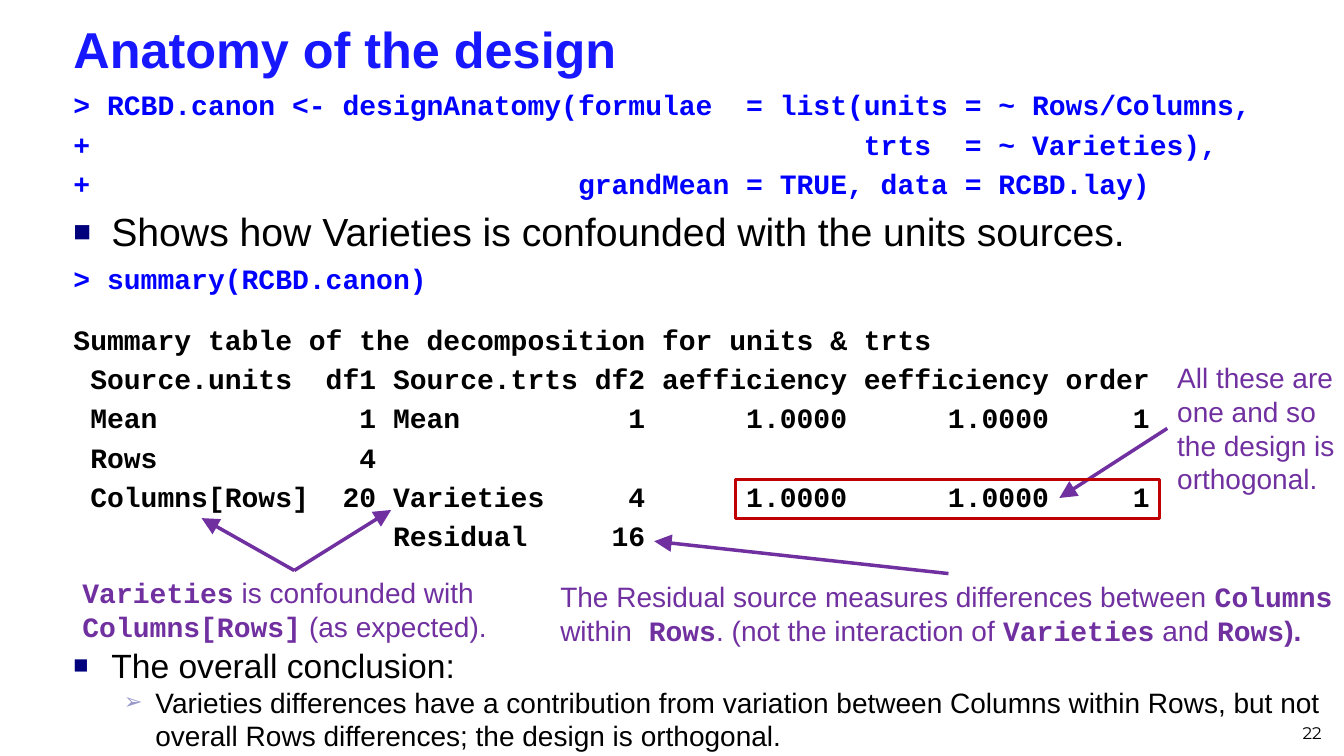
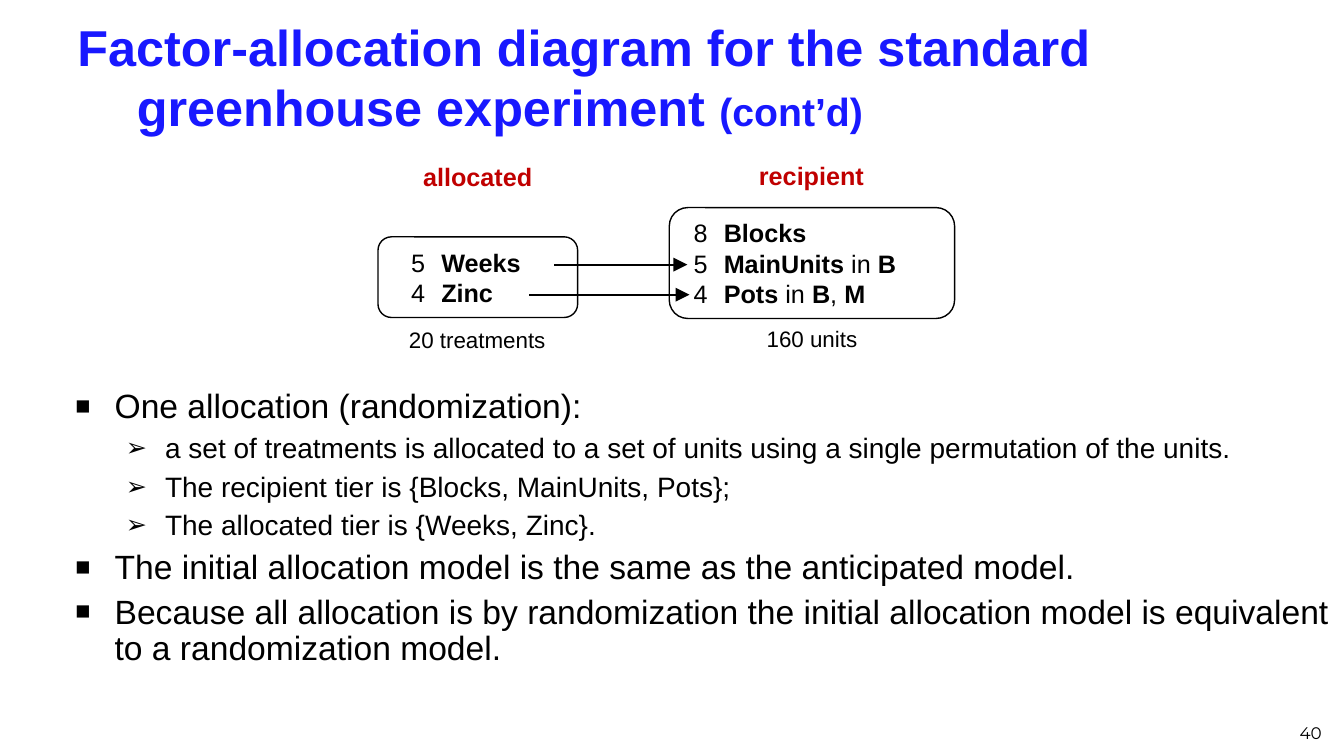
import pptx
import pptx.util
import pptx.dml.color
import pptx.enum.shapes
import pptx.enum.text
import pptx.oxml.ns
import lxml.etree

Pt = pptx.util.Pt
RGBColor = pptx.dml.color.RGBColor
Align = pptx.enum.text.PP_ALIGN
Anchor = pptx.enum.text.MSO_ANCHOR
qn = pptx.oxml.ns.qn

BLACK = RGBColor(0x00, 0x00, 0x00)
TITLE_BLUE = RGBColor(0x18, 0x18, 0xFF)
CODE_BLUE = RGBColor(0x00, 0x00, 0xFF)
PURPLE = RGBColor(0x70, 0x30, 0xA0)
RED = RGBColor(0xC0, 0x00, 0x00)
NAVY = RGBColor(0x00, 0x00, 0x7D)
LAVENDER = RGBColor(0x99, 0x99, 0xCC)

# Paragraph styles; "strong" overrides apply to text between asterisks
TITLE = dict(size=36, color=TITLE_BLUE, bold=True, strong=dict(size=28))
HANGING_TITLE = dict(TITLE, left=42.5, hang=42.5)
NUMBER = dict(size=12, font="Montserrat", align=Align.RIGHT)
INPUT = dict(size=20, font="Courier New", color=CODE_BLUE, bold=True, before=4)
OUTPUT = dict(INPUT, color=BLACK)
NOTE = dict(size=20, color=PURPLE, strong=dict(font="Courier New", bold=True))
POINT = dict(size=28, left=27, hang=27, before=5.5, bullet=("■", NAVY, 75))
CONCLUSION = dict(POINT, size=24, before=0)
DETAIL = dict(size=20, level=1, left=58.5, hang=22.5, bullet=("➢", LAVENDER, 80))
ALLOCATION = dict(size=24, left=28, hang=28, before=6, line=0.9,
                  bullet=("■", BLACK, 75))
ALLOCATION_DETAIL = dict(ALLOCATION, size=20, level=1, left=64,
                         bullet=("➢", BLACK, 90))
TIER = dict(size=18, color=RED, bold=True, align=Align.CENTER)
COUNT = dict(size=16, align=Align.CENTER)


def write(shape, paragraphs, anchor=Anchor.TOP):
    """Fill a shape with (style, text) paragraphs."""
    frame = shape.text_frame
    frame.word_wrap = True
    frame.vertical_anchor = anchor
    for index, (style, text) in enumerate(paragraphs):
        paragraph = frame.add_paragraph() if index else frame.paragraphs[0]
        properties = paragraph._p.get_or_add_pPr()
        if "left" in style:
            properties.set("marL", str(Pt(style["left"])))
            properties.set("indent", str(-Pt(style["hang"])))
        if "bullet" in style:
            mark, color, percent = style["bullet"]
            tint = lxml.etree.SubElement(properties, qn("a:buClr"))
            lxml.etree.SubElement(tint, qn("a:srgbClr"), val=str(color))
            lxml.etree.SubElement(properties, qn("a:buSzPct"), val=str(percent * 1000))
            lxml.etree.SubElement(properties, qn("a:buFont"), typeface="Arial")
            lxml.etree.SubElement(properties, qn("a:buChar"), char=mark)
        paragraph.level = style.get("level", 0)
        paragraph.alignment = style.get("align", Align.LEFT)
        paragraph.line_spacing = style.get("line", 1.0)
        paragraph.space_before = Pt(style.get("before", 0) if index else 0)
        for part, words in enumerate(text.split("*")):
            if not words:
                continue
            look = {**style, **style.get("strong", {})} if part % 2 else style
            run = paragraph.add_run()
            run.text = words
            run.font.name = look.get("font", "Arial")
            run.font.size = Pt(look["size"])
            run.font.bold = look.get("bold", False)
            run.font.color.rgb = look.get("color", BLACK)


def arrow(slide, start, end, color, width):
    """Draw a straight arrow between two points."""
    line = slide.shapes.add_connector(
        pptx.enum.shapes.MSO_CONNECTOR.STRAIGHT, *map(Pt, start + end))
    line.line.color.rgb = color
    line.line.width = Pt(width)
    lxml.etree.SubElement(line.line._get_or_add_ln(), qn("a:tailEnd"),
                          type="triangle", w="lg", len="lg")
    lxml.etree.SubElement(line._element.spPr, qn("a:effectLst"))


deck = pptx.Presentation()
deck.slide_width, deck.slide_height = Pt(960), Pt(540)

# Titles and slide numbers
slides = []
for number, style, title, place in [
    ("22", TITLE, "Anatomy of the design", (45.4, 11.5, 907, 45.4)),
    ("40", HANGING_TITLE,
     "Factor-allocation diagram for the standard greenhouse experiment *(cont’d)*",
     (48.2, 15.1, 864, 79.2)),
]:
    slide = deck.slides.add_slide(deck.slide_layouts[6])
    write(slide.shapes.add_textbox(*map(Pt, place)), [(style, title)], Anchor.MIDDLE)
    write(slide.shapes.add_textbox(Pt(727.2), Pt(498.2), Pt(224), Pt(36)),
          [(NUMBER, number)], Anchor.BOTTOM)
    slides.append(slide)
anatomy, allocation = slides

# Anatomy: code, its output and the conclusion
write(anatomy.shapes.add_textbox(Pt(45.4), Pt(59.3), Pt(915.8), Pt(344)), [
    (INPUT, "> RCBD.canon <- designAnatomy(formulae  = list(units = ~ Rows/Columns,"),
    (INPUT, "+                                              trts  = ~ Varieties),"),
    (INPUT, "+                             grandMean = TRUE, data = RCBD.lay)"),
    (POINT, "Shows how Varieties is confounded with the units sources."),
    (dict(INPUT, before=4.8), "> summary(RCBD.canon)"),
    (dict(OUTPUT, before=19.6), "Summary table of the decomposition for units & trts"),
    (OUTPUT, " Source.units  df1 Source.trts df2 aefficiency eefficiency order"),
    (OUTPUT, " Mean            1 Mean          1      1.0000      1.0000     1"),
    (OUTPUT, " Rows            4"),
    (OUTPUT, " Columns[Rows]  20 Varieties     4      1.0000      1.0000     1"),
    (OUTPUT, "                   Residual     16"),
])
write(anatomy.shapes.add_textbox(Pt(45.4), Pt(457.2), Pt(915.8), Pt(82)), [
    (CONCLUSION, "The overall conclusion:"),
    (DETAIL, "Varieties differences have a contribution from variation between Columns "
             "within Rows, but not overall Rows differences; the design is orthogonal."),
])

# Anatomy: notes on the output
for place, note in [
    ((51.8, 407.5, 317.5, 55.4),
     "*Varieties* is confounded with *Columns[Rows]* (as expected)."),
    ((833.8, 254.2, 127.4, 104.4),
     "All these are one and so the design is orthogonal."),
    ((393.1, 410.4, 568.1, 55.4),
     "The Residual source measures differences between *Columns *within* Rows*. "
     "(not the interaction of *Varieties* and *Rows*)."),
]:
    remark = anatomy.shapes.add_textbox(*map(Pt, place))
    write(remark, [(NOTE, note)])
remark.text_frame.paragraphs[0].runs[-1].font.bold = True

for start, end in [
    ((210.2, 407.5), (279.4, 364.3)),
    ((210.2, 407.5), (144, 370.1)),
    ((677.5, 409.7), (467.3, 386.6)),
    ((833.8, 306), (756.7, 355.7)),
]:
    arrow(anatomy, start, end, PURPLE, 2.5)

efficiencies = anatomy.shapes.add_shape(
    pptx.enum.shapes.MSO_SHAPE.RECTANGLE, Pt(525.6), Pt(342.7), Pt(302.4), Pt(27.4))
efficiencies.shadow.inherit = False
efficiencies.fill.background()
efficiencies.line.color.rgb = RED
efficiencies.line.width = Pt(2)

# Allocation: factor panels with their tier name and count
for place, left, factors, tier, tier_place, count, count_place in [
    ((270, 169.2, 142.6, 57.6), 35.3, ["5\t*Weeks*", "4\t*Zinc*"],
     "allocated", (288.7, 111.6, 105.1, 29), "20 treatments", (275, 229.7)),
    ((478.1, 148.3, 203.8, 79.2), 28,
     ["8\t*Blocks*", "5\t*MainUnits* in *B*", "4\t*Pots* in *B*, *M*"],
     "recipient", (533.5, 110.9, 92.2, 29), "160 units", (514.1, 229)),
]:
    panel = allocation.shapes.add_shape(
        pptx.enum.shapes.MSO_SHAPE.ROUNDED_RECTANGLE, *map(Pt, place))
    panel.shadow.inherit = False
    panel.fill.background()
    panel.line.color.rgb = BLACK
    panel.line.width = Pt(1)
    factor_style = dict(size=18, left=left, hang=21.6, strong=dict(bold=True))
    write(panel, [(factor_style, factor) for factor in factors], Anchor.MIDDLE)
    write(allocation.shapes.add_textbox(*map(Pt, tier_place)), [(TIER, tier)])
    write(allocation.shapes.add_textbox(*map(Pt, count_place + (131.8, 26.6))),
          [(COUNT, count)])

for start, end in [((396, 189), (491, 189)), ((378, 210.5), (492.5, 210.5))]:
    arrow(allocation, start, end, BLACK, 1.5)

# Allocation: explanation
write(allocation.shapes.add_textbox(Pt(46.8), Pt(274.8), Pt(910.8), Pt(225)), [
    (ALLOCATION, "One allocation (randomization):"),
    (ALLOCATION_DETAIL, "a set of treatments is allocated to a set of units "
                        "using a single permutation of the units."),
    (ALLOCATION_DETAIL, "The recipient tier is {Blocks, MainUnits, Pots};"),
    (ALLOCATION_DETAIL, "The allocated tier is {Weeks, Zinc}."),
    (ALLOCATION, "The initial allocation model is the same as the anticipated model."),
    (ALLOCATION, "Because all allocation is by randomization the initial allocation "
                 "model is equivalent to a randomization model."),
])

deck.save("out.pptx")
